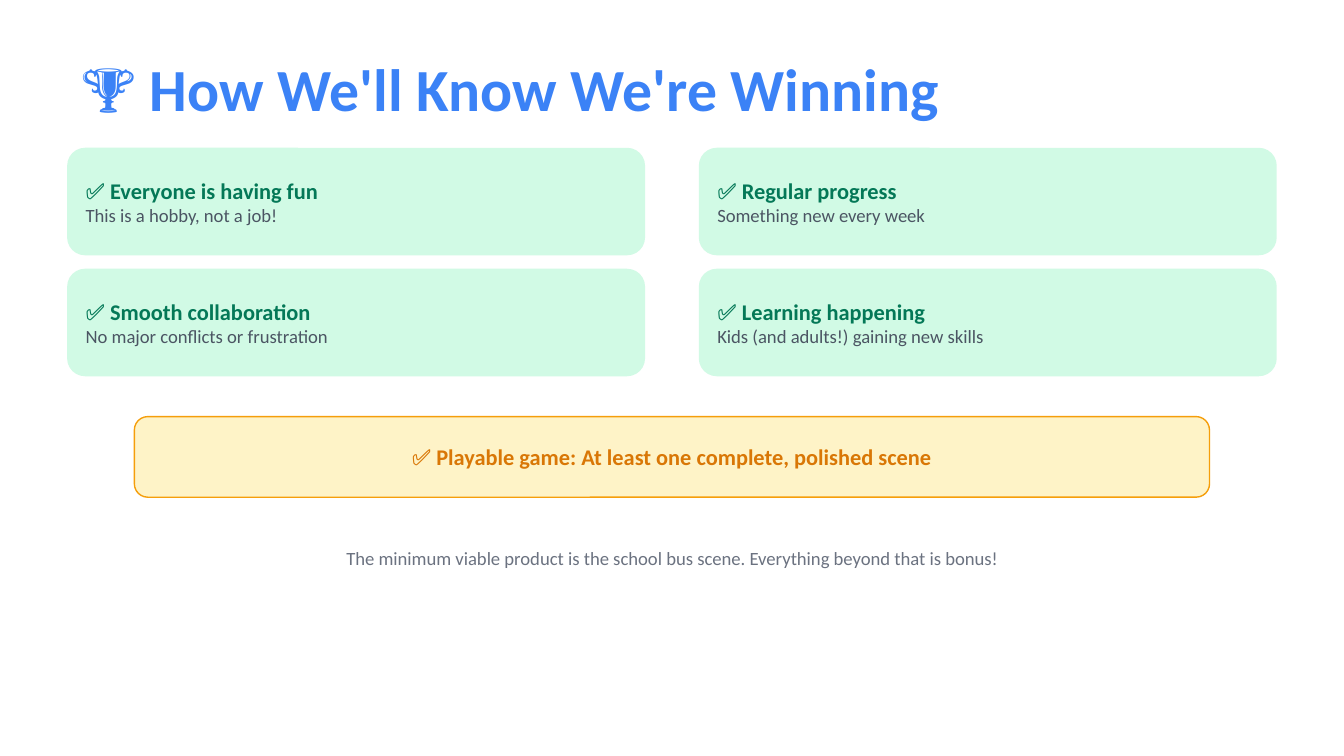
from pptx import Presentation
from pptx.dml.color import RGBColor
from pptx.enum.shapes import MSO_SHAPE
from pptx.enum.text import MSO_ANCHOR, MSO_AUTO_SIZE, PP_ALIGN
from pptx.util import Emu, Pt

ROUNDED = MSO_SHAPE.ROUNDED_RECTANGLE
MIDDLE = MSO_ANCHOR.MIDDLE
NO_FIT = MSO_AUTO_SIZE.NONE
LEFT, CENTER = PP_ALIGN.LEFT, PP_ALIGN.CENTER

TITLE = "🏆 How We'll Know We're Winning"
GOALS = [
    ("✅ Everyone is having fun", "This is a hobby, not a job!"),
    ("✅ Regular progress", "Something new every week"),
    ("✅ Smooth collaboration", "No major conflicts or frustration"),
    ("✅ Learning happening", "Kids (and adults!) gaining new skills"),
]
MILESTONE = "✅ Playable game: At least one complete, polished scene"
FOOTNOTE = "The minimum viable product is the school bus scene. Everything beyond that is bonus!"

FONT = "Calibri"
COLORS = {
    "title": "3B82F6",
    "goal_fill": "D1FAE5",
    "goal_heading": "047857",
    "goal_detail": "4B5563",
    "milestone_fill": "FEF3C7",
    "milestone_line": "F59E0B",
    "milestone_text": "D97706",
    "footnote": "6B7280",
}

PX = 4572
SLIDE_SIZE = (2000, 1125)
TITLE_BOX = (100, 60, 1800, 140)
MILESTONE_BOX = (200, 620, 1600, 120)
FOOTNOTE_BOX = (100, 800, 1800, 60)
GRID_LEFT, GRID_TOP, COLUMNS = 100, 220, 2
CARD_WIDTH, CARD_HEIGHT = 860, 160
COLUMN_GAP, ROW_GAP = 80, 20


def color(name):
    return RGBColor.from_string(COLORS[name])


def scaled(bounds):
    return [Emu(length * PX) for length in bounds]


def write(shape, text, styles, align=LEFT):
    frame = shape.text_frame
    frame.word_wrap = True
    frame.auto_size = NO_FIT
    frame.vertical_anchor = MIDDLE
    para = frame.paragraphs[0]
    para.text = text
    para.alignment = align
    for span, (size, color_name, bold) in zip(para.runs, styles):
        span.font.name = FONT
        span.font.size = Pt(size)
        span.font.bold = bold
        span.font.color.rgb = color(color_name)


def add_card(slide, bounds, fill, line=None):
    card = slide.shapes.add_shape(ROUNDED, *scaled(bounds))
    card.shadow.inherit = False
    card.fill.solid()
    card.fill.fore_color.rgb = color(fill)
    if line:
        card.line.color.rgb = color(line)
        card.line.width = Pt(0.75)
    else:
        card.line.fill.background()
    return card


def main():
    deck = Presentation()
    deck.slide_width, deck.slide_height = scaled(SLIDE_SIZE)
    slide = deck.slides.add_slide(deck.slide_layouts.get_by_name("Title Only"))

    title = slide.shapes.title
    title.left, title.top, title.width, title.height = scaled(TITLE_BOX)
    write(title, TITLE, [(32, "title", True)])

    for index, goal in enumerate(GOALS):
        row, column = divmod(index, COLUMNS)
        left = GRID_LEFT + column * (CARD_WIDTH + COLUMN_GAP)
        top = GRID_TOP + row * (CARD_HEIGHT + ROW_GAP)
        card = add_card(slide, (left, top, CARD_WIDTH, CARD_HEIGHT), "goal_fill")
        write(card, "\v".join(goal), [(12, "goal_heading", True), (10, "goal_detail", False)])

    milestone = add_card(slide, MILESTONE_BOX, "milestone_fill", "milestone_line")
    write(milestone, MILESTONE, [(12, "milestone_text", True)], CENTER)

    footnote = slide.shapes.add_textbox(*scaled(FOOTNOTE_BOX))
    write(footnote, FOOTNOTE, [(10, "footnote", False)], CENTER)

    deck.save("out.pptx")


if __name__ == "__main__":
    main()
